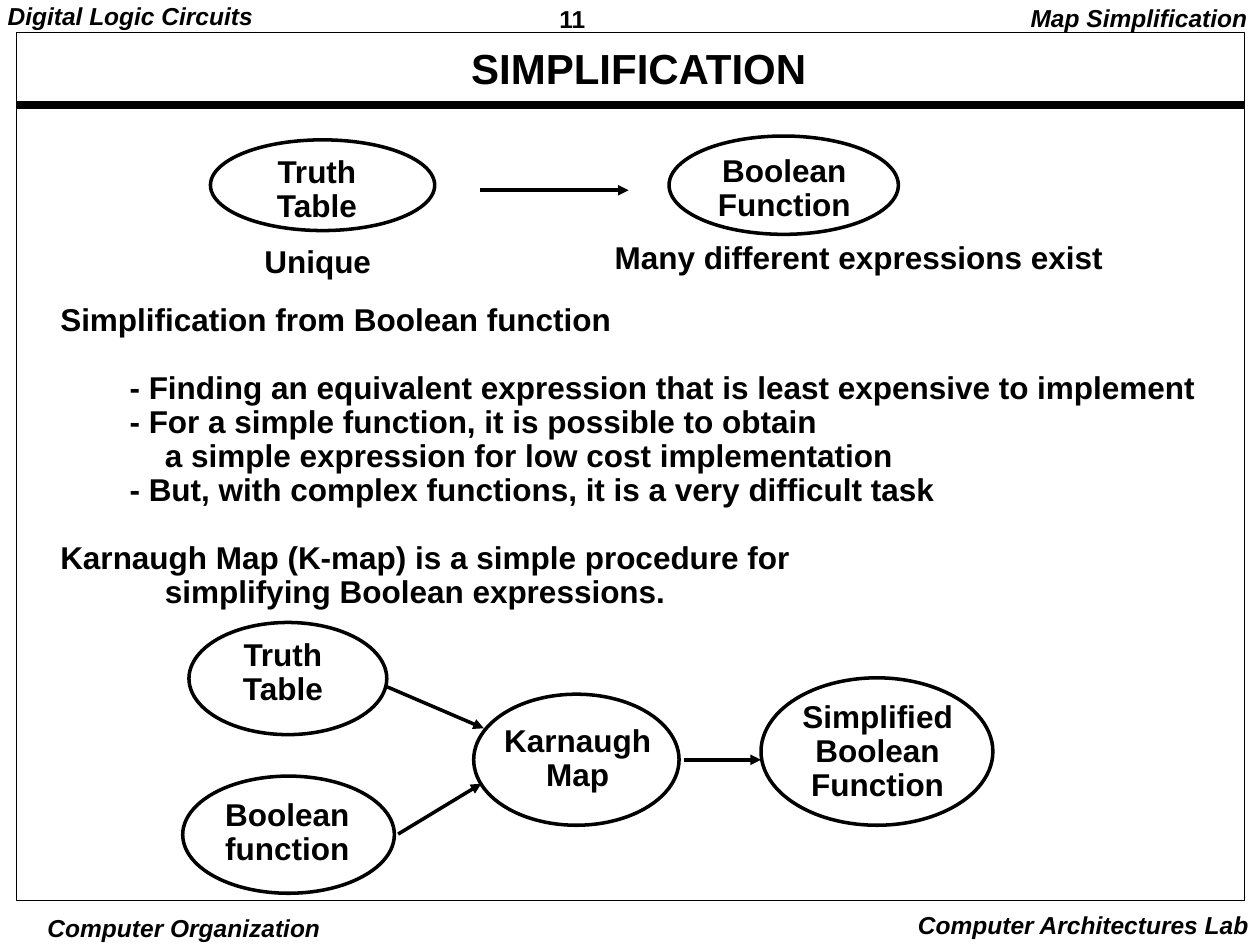
"""Build the slide on simplifying Boolean functions with a Karnaugh map."""
import pptx
import pptx.util
import pptx.dml.color
import pptx.enum.shapes
import pptx.enum.text
import pptx.oxml

Inches, Pt = pptx.util.Inches, pptx.util.Pt
ALIGN = pptx.enum.text.PP_ALIGN
SHAPE = pptx.enum.shapes.MSO_SHAPE
BLACK = pptx.dml.color.RGBColor(0, 0, 0)
FONT = "Arial"
NARROW, MID, WIDE = (0.03, 0.01), (0.07, 0.03), (0.1, 0.05)
SLACK = 0.1
SHIFT = {ALIGN.LEFT: 0, ALIGN.CENTER: SLACK / 2, ALIGN.RIGHT: SLACK}

MARGINS = [
    ("11", (4.37, 0, 1.08, 0.29), ALIGN.LEFT, MID, 1.2, False),
    ("Digital Logic Circuits", (-0.01, 0, 2.09, 0.48), ALIGN.LEFT, MID, 1.08, True),
    ("Map Simplification", (8.08, 0, 1.92, 0.31), ALIGN.RIGHT, WIDE, 1.08, True),
    ("Computer Organization", (0.35, 7.24, 2.22, 0.26), ALIGN.CENTER, NARROW, 1.2, True),
    ("Computer Architectures Lab", (7.18, 7.17, 2.83, 0.33), ALIGN.RIGHT, WIDE, 1.2, True),
]
TITLE = ("SIMPLIFICATION", (0.41, 0.35, 9.32, 0.42))
FRAME = (0.13, 0.26, 9.75, 6.89)
RULE = (0.13, 0.83, 9.87, 0.83)

NODES = [
    ("Truth\nTable", (1.67, 1.11, 1.78, 0.72), (2.09, 1.19, 0.85, 0.64)),
    ("Boolean\nFunction", (5.31, 1.08, 1.82, 0.78), (5.6, 1.18, 1.25, 0.64)),
    ("Truth\nTable", (1.5, 4.94, 1.57, 0.89), (1.82, 5.02, 0.85, 0.64)),
    ("Boolean\nfunction", (1.45, 6.16, 1.68, 0.93), (1.69, 6.29, 1.18, 0.64)),
    ("Karnaugh\nMap", (3.76, 5.51, 1.63, 1.04), (3.9, 5.7, 1.37, 0.64)),
    ("Simplified\nBoolean\nFunction", (6.04, 5.38, 1.84, 1.17), (6.27, 5.51, 1.39, 0.91)),
]
ARROWS = [
    (3.81, 1.51, 4.99, 1.51),
    (3.07, 5.45, 3.84, 5.78),
    (3.16, 6.62, 3.82, 6.22),
    (5.43, 6.03, 6.04, 6.03),
]
NOTES = [
    ("Unique", (2, 1.9, 1.05, 0.37)),
    ("Many different expressions exist", (4.78, 1.87, 4.07, 0.37)),
]
BODY_BOX = (0.38, 2.36, 9.21, 2.53)
BODY = [
    ("Simplification from Boolean function", 0, False),
    ("- Finding an equivalent expression that is least expensive to implement", 0.55, True),
    ("- For a simple function, it is possible to obtain", 0.55, False),
    ("a simple expression for low cost implementation", 0.83, False),
    ("- But, with complex functions, it is a very difficult task", 0.55, False),
    ("Karnaugh Map (K-map) is a simple procedure for", 0, True),
    ("simplifying Boolean expressions.", 0.83, False),
]


def add_text(slide, text, box, size=18, align=ALIGN.LEFT, pad=WIDE,
             lead=1.08, slant=False):
    left, top, width, height = box
    room = (left - SHIFT[align], top, width + SLACK, height)
    frame = slide.shapes.add_textbox(*map(Inches, room)).text_frame
    frame.text = text
    frame.word_wrap = True
    frame.auto_size = pptx.enum.text.MSO_AUTO_SIZE.NONE
    frame.margin_left = frame.margin_right = Inches(pad[0])
    frame.margin_top = frame.margin_bottom = Inches(pad[1])
    for para in frame.paragraphs:
        para.alignment = align
        para.line_spacing = Pt(size * lead)
        for run in para.runs:
            font = run.font
            font.name, font.size = FONT, Pt(size)
            font.bold, font.italic = True, slant
            font.color.rgb = BLACK
    return frame


def add_shape(slide, kind, box, width):
    shape = slide.shapes.add_shape(kind, *map(Inches, box))
    shape.shadow.inherit = False
    shape.fill.background()
    shape.line.color.rgb = BLACK
    shape.line.width = Pt(width)


def add_line(slide, ends, width, arrow=False):
    kind = pptx.enum.shapes.MSO_CONNECTOR.STRAIGHT
    line = slide.shapes.add_connector(kind, *map(Inches, ends))
    line.line.color.rgb = BLACK
    line.line.width = Pt(width)
    props = line._element.spPr
    props.append(props.makeelement(pptx.oxml.ns.qn("a:effectLst"), {}))
    if arrow:
        stroke = line.line._get_or_add_ln()
        stroke.append(stroke.makeelement(pptx.oxml.ns.qn("a:tailEnd"), {"type": "triangle"}))


def add_body(slide):
    text = "\n".join(row[0] for row in BODY)
    frame = add_text(slide, text, BODY_BOX)
    for para, (_, indent, gap) in zip(frame.paragraphs, BODY):
        para._p.get_or_add_pPr().set("marL", str(Inches(indent)))
        if gap:
            para.space_before = para.line_spacing


def main():
    deck = pptx.Presentation()
    deck.slide_width, deck.slide_height = Inches(10), Inches(7.5)
    slide = deck.slides.add_slide(deck.slide_layouts[6])
    for text, box, align, pad, lead, slant in MARGINS:
        add_text(slide, text, box, 14, align, pad, lead, slant)
    add_line(slide, RULE, 4.5)
    add_shape(slide, SHAPE.RECTANGLE, FRAME, 0.5)
    add_text(slide, *TITLE, 24, ALIGN.CENTER, MID)
    for text, oval, box in NODES:
        add_shape(slide, SHAPE.OVAL, oval, 2)
        add_text(slide, text, box, align=ALIGN.CENTER)
    for text, box in NOTES:
        add_text(slide, text, box)
    add_body(slide)
    for ends in ARROWS:
        add_line(slide, ends, 2, True)
    deck.save("out.pptx")


if __name__ == "__main__":
    main()
